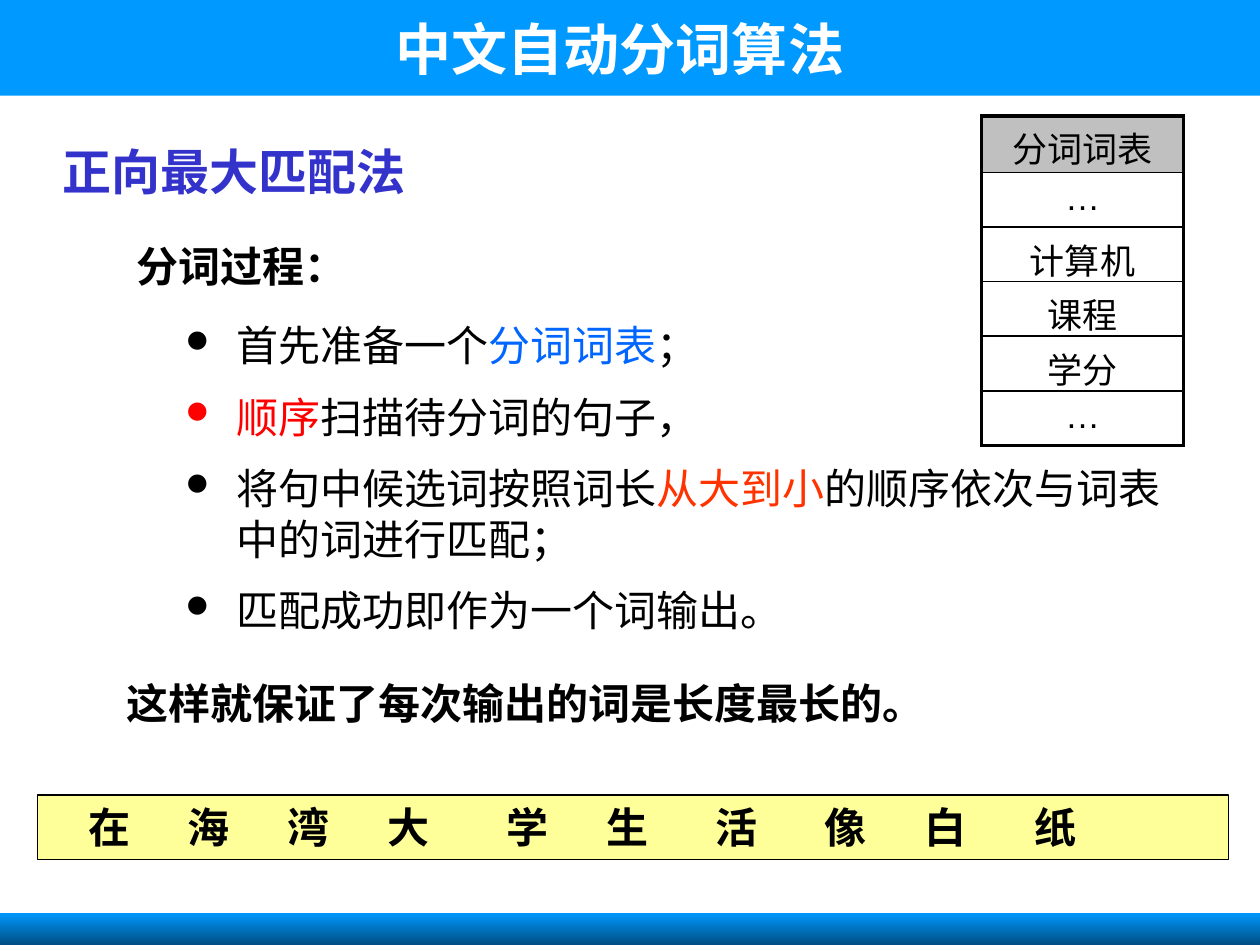
"""Build the slide on forward maximum matching for Chinese word segmentation."""
import dataclasses
import itertools

import lxml.etree
import pptx
import pptx.dml.color
import pptx.enum.shapes
import pptx.enum.text
import pptx.oxml.ns
import pptx.util

Pt = pptx.util.Pt
SERIF = "Times New Roman"
CENTER = pptx.enum.text.PP_ALIGN.CENTER
BLACK = "000000"
BLUE = "0099FF"


@dataclasses.dataclass
class Run:
    text: str
    color: str = BLACK


@dataclasses.dataclass
class TextBox:
    left: float
    top: float
    width: float
    height: float
    paragraphs: list[list[Run]]
    size: float = 24
    bold: bool = True
    indent: float = 0
    bullet: bool = False
    centered: bool = False


def rgb(value: str) -> pptx.dml.color.RGBColor:
    return pptx.dml.color.RGBColor.from_string(value)


def add_xml(parent, tag: str, **attributes: str):
    return lxml.etree.SubElement(parent, pptx.oxml.ns.qn(tag), attributes)


def style_run(r, size: float, color: str, bold: bool, font: str = SERIF) -> None:
    r.font.size = Pt(size)
    r.font.name = font
    r.font.bold = bold
    r.font.color.rgb = rgb(color)


def add_bar(slide, left: float, top: float, width: float, height: float, color: str):
    sp = slide.shapes.add_shape(
        pptx.enum.shapes.MSO_SHAPE.RECTANGLE, Pt(left), Pt(top), Pt(width), Pt(height)
    )
    sp.shadow.inherit = False
    sp.fill.solid()
    sp.fill.fore_color.rgb = rgb(color)
    sp.line.fill.background()
    return sp


def add_text(slide, box: TextBox) -> None:
    sp = slide.shapes.add_textbox(Pt(box.left), Pt(box.top), Pt(box.width), Pt(box.height))
    tf = sp.text_frame
    tf.word_wrap = True
    for i, runs in enumerate(box.paragraphs):
        p = tf.add_paragraph() if i else tf.paragraphs[0]
        if box.centered:
            p.alignment = CENTER
        if i:
            p.space_before = Pt(box.size / 2)
        pPr = p._p.get_or_add_pPr()
        if box.indent:
            pPr.set("marL", str(Pt(box.indent)))
            pPr.set("indent", str(-Pt(box.indent)))
        if box.bullet:
            add_xml(pPr, "a:buSzPct", val="75000")
            add_xml(pPr, "a:buFont", typeface="Wingdings", pitchFamily="2", charset="2")
            add_xml(pPr, "a:buChar", char="l")
        for run in runs:
            r = p.add_run()
            r.text = run.text
            style_run(r, box.size, run.color, box.bold)


def set_border(cell, side: str, width: float) -> None:
    ln = add_xml(cell._tc.get_or_add_tcPr(), f"a:{side}", w=str(Pt(width)))
    add_xml(add_xml(ln, "a:solidFill"), "a:srgbClr", val=BLACK)


def add_word_list(slide, words: list[str]) -> None:
    heights = [32.4] + [31.2] * (len(words) - 1)
    frame = slide.shapes.add_table(
        len(words), 1, Pt(561), Pt(66.2), Pt(115.2), Pt(sum(heights))
    )
    table = frame.table
    table.first_row = table.horz_banding = False
    last = len(words) - 1
    for i, (word, height) in enumerate(zip(words, heights)):
        table.rows[i].height = Pt(height)
        cell = table.cell(i, 0)
        cell.margin_top, cell.margin_bottom = Pt(3.6), Pt(3.4)
        cell.text = word
        p = cell.text_frame.paragraphs[0]
        p.alignment = CENTER
        style_run(p.runs[0], 20, BLACK, False, "Arial")
        set_border(cell, "lnL", 2.25)
        set_border(cell, "lnR", 2.25)
        set_border(cell, "lnT", 1 if i else 2.25)
        set_border(cell, "lnB", 2.25 if i == last else 1)
        if i:
            cell.fill.background()
        else:
            cell.fill.solid()
            cell.fill.fore_color.rgb = rgb("C0C0C0")


def add_sentence(slide, characters: str, gaps: list[int]) -> None:
    sp = add_bar(slide, 21.6, 454.3, 680.4, 36.7, "FFFF99")
    sp.line.color.rgb = rgb(BLACK)
    sp.line.width = Pt(0.75)
    tf = sp.text_frame
    tf.word_wrap = True
    tf.vertical_anchor = pptx.enum.text.MSO_ANCHOR.TOP
    tf.text = "".join(f"\t{character}" for character in characters)
    p = tf.paragraphs[0]
    p.alignment = pptx.enum.text.PP_ALIGN.LEFT
    stops = add_xml(p._p.get_or_add_pPr(), "a:tabLst")
    steps = [24 + 5.5 * gap for gap in gaps]
    for stop in itertools.accumulate(steps, initial=21.7):
        add_xml(stops, "a:tab", pos=str(Pt(stop)), algn="l")
    for r in p.runs:
        style_run(r, 24, BLACK, True)


STEPS = [
    [Run("首先准备一个"), Run("分词词表", "0066FF"), Run("；")],
    [Run("顺序", "FF0000"), Run("扫描待分词的句子，")],
    [Run("将句中候选词按照词长"), Run("从大到小", "FF3300"),
     Run("的顺序依次与词表中的词进行匹配；")],
    [Run("匹配成功即作为一个词输出。")],
]
TEXTS = [
    TextBox(28.8, 77.2, 255, 41, [[Run("正向最大匹配法", "3333CC")]], size=28),
    TextBox(70.8, 134, 142, 36, [[Run("分词过程：")]], indent=28.8),
    TextBox(99, 179.3, 572.4, 194.4, STEPS, bold=False, indent=28.8, bullet=True),
    TextBox(65, 383.4, 506, 36, [[Run("这样就保证了每次输出的词是长度最长的。")]]),
    TextBox(8.4, 4.6, 692, 45.4, [[Run("中文自动分词算法", "FFFFFF")]], size=32, centered=True),
]


def main() -> None:
    prs = pptx.Presentation()
    prs.slide_width, prs.slide_height = Pt(720), Pt(540)
    slide = prs.slides.add_slide(prs.slide_layouts[6])
    add_bar(slide, 0, 0, 720, 54.7, BLUE)
    footer = add_bar(slide, 0, 521.5, 720, 20.2, BLUE)
    footer.fill.gradient()
    footer.fill.gradient_angle = 270
    for stop, color in zip(footer.fill.gradient_stops, (BLUE, "004776")):
        stop.color.rgb = rgb(color)
    for box in TEXTS:
        add_text(slide, box)
    add_word_list(slide, ["分词词表", "…", "计算机", "课程", "学分", "…"])
    add_sentence(slide, "在海湾大学生活像白纸", [6, 6, 6, 8, 6, 7, 7, 6, 7])
    prs.save("out.pptx")


main()
